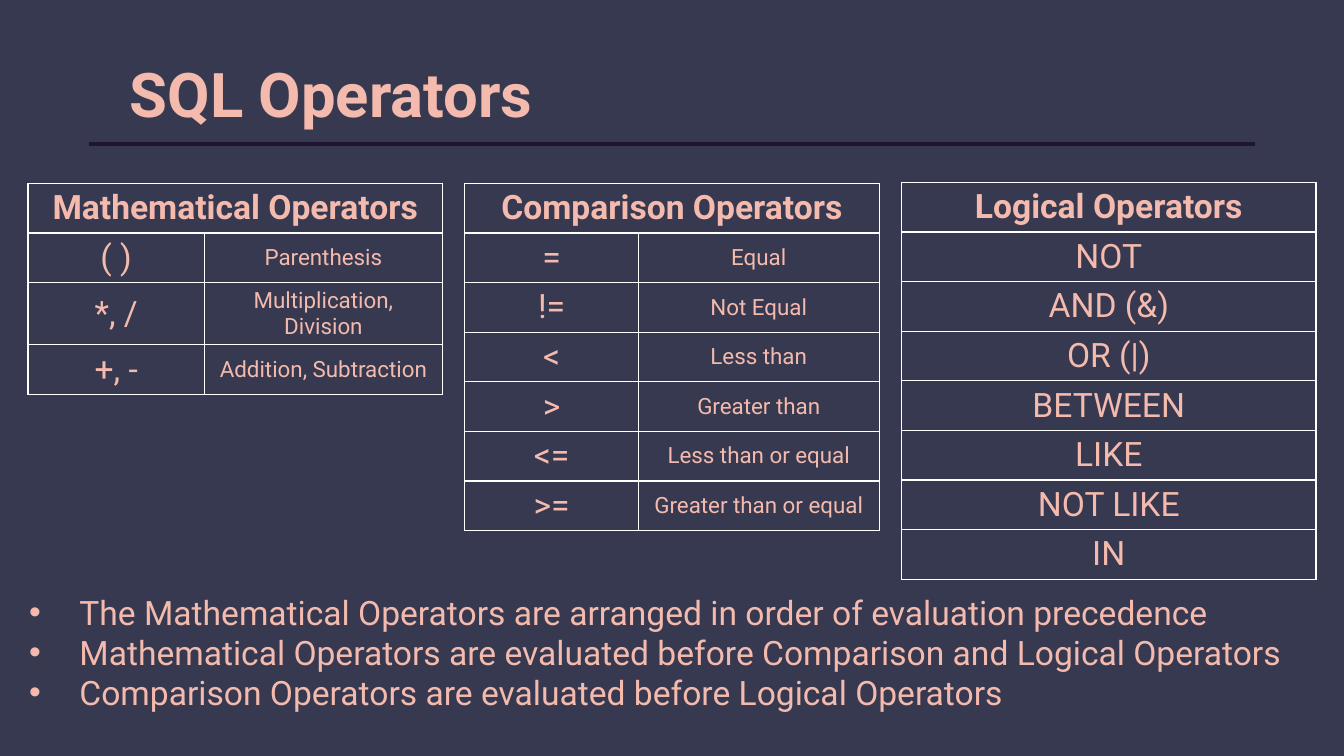
from dataclasses import dataclass
from lxml.etree import SubElement as Sub
from pptx import Presentation
from pptx.dml.color import RGBColor as RGB
from pptx.enum.shapes import MSO_CONNECTOR as Link, MSO_SHAPE as Shape
from pptx.enum.text import MSO_ANCHOR as Anchor, PP_ALIGN as Align
from pptx.oxml.ns import qn
from pptx.util import Pt

TITLE = "SQL Operators"
# heading, left, top, column widths, rows
TABLES = [
    ("Mathematical Operators", 20, 131, (126, 170), [
        ("( )", "Parenthesis"),
        ("*, /", "Multiplication, Division"),
        ("+, -", "Addition, Subtraction"),
    ]),
    ("Comparison Operators", 332, 131, (124, 172), [
        ("=", "Equal"),
        ("!=", "Not Equal"),
        ("<", "Less than"),
        (">", "Greater than"),
        ("<=", "Less than or equal"),
        (">=", "Greater than or equal"),
    ]),
    ("Logical Operators", 644, 130.3, (296,), [
        ("NOT",), ("AND (&)",), ("OR (|)",), ("BETWEEN",),
        ("LIKE",), ("NOT LIKE",), ("IN",),
    ]),
]
NOTES = [
    "The Mathematical Operators are arranged in order of evaluation precedence",
    "Mathematical Operators are evaluated before Comparison and Logical Operators",
    "Comparison Operators are evaluated before Logical Operators",
]


@dataclass
class Theme:
    """Colours, font and type sizes."""
    back: str = "36394F"
    ink: str = "F3BAAD"
    rule: str = "1F1431"
    grid: str = "FFFFFF"
    font: str = "Roboto"
    title: int = 44
    body: int = 24
    small: int = 16


LOOK = Theme()
ROW = 35.43
INDENT = 36


def style(para, size, bold=False):
    """Format every run of a paragraph."""
    for run in para.runs:
        font = run.font
        font.name, font.size, font.bold = LOOK.font, Pt(size), bold
        font.color.rgb = RGB.from_string(LOOK.ink)


def border(cell):
    """Draw a thin line on all four sides of a cell."""
    props = cell._tc.get_or_add_tcPr()
    for spot, side in enumerate(("lnL", "lnR", "lnT", "lnB")):
        line = Sub(props, qn(f"a:{side}"), w=str(Pt(1)))
        Sub(Sub(line, qn("a:solidFill")), qn("a:srgbClr"), val=LOOK.grid)
        props.insert(spot, line)


def add_title(slide):
    """Add the heading and the rule below it."""
    box = slide.shapes.add_shape(
        Shape.RECTANGLE, Pt(85.7), Pt(36.7), Pt(651), Pt(55.4))
    box.shadow.inherit = False
    box.fill.solid()
    box.fill.fore_color.rgb = RGB.from_string(LOOK.back)
    box.line.fill.background()
    frame = box.text_frame
    frame.text = TITLE
    frame.vertical_anchor = Anchor.TOP
    para = frame.paragraphs[0]
    para.alignment = Align.LEFT
    style(para, LOOK.title, True)

    rule = slide.shapes.add_connector(
        Link.STRAIGHT, Pt(63.5), Pt(103), Pt(896.5), Pt(103))
    rule.line.color.rgb = RGB.from_string(LOOK.rule)
    rule.line.width = Pt(3)
    Sub(rule._element.spPr, qn("a:effectLst"))


def add_grid(slide, head, left, top, widths, rows):
    """Add one table of operators under a merged heading."""
    count = len(rows) + 1
    grid = slide.shapes.add_table(
        count, len(widths), Pt(left), Pt(top),
        Pt(sum(widths)), Pt(ROW * count)).table
    grid.first_row = grid.horz_banding = False
    for col, width in zip(grid.columns, widths):
        col.width = Pt(width)
    if len(widths) > 1:
        grid.cell(0, 0).merge(grid.cell(0, len(widths) - 1))
    for r, texts in enumerate([(head,), *rows]):
        for c in range(len(widths)):
            cell = grid.cell(r, c)
            cell.fill.background()
            border(cell)
            if c >= len(texts):
                continue
            cell.vertical_anchor = Anchor.MIDDLE
            cell.text_frame.text = texts[c]
            para = cell.text_frame.paragraphs[0]
            para.alignment = Align.CENTER
            style(para, LOOK.small if c else LOOK.body, r == 0)


def add_notes(slide):
    """Add the bulleted remarks."""
    box = slide.shapes.add_textbox(Pt(13.7), Pt(419), Pt(931.7), Pt(94.3))
    frame = box.text_frame
    frame.word_wrap = True
    frame.text = "\n".join(NOTES)
    for para in frame.paragraphs:
        style(para, LOOK.body)
        props = para._p.get_or_add_pPr()
        props.set("marL", str(Pt(INDENT)))
        props.set("indent", str(Pt(-INDENT)))
        Sub(props, qn("a:buFont"), typeface="Arial")
        Sub(props, qn("a:buChar"), char="•")


def main():
    """Build and save the slide."""
    deck = Presentation()
    deck.slide_width, deck.slide_height = Pt(960), Pt(540)
    slide = deck.slides.add_slide(deck.slide_layouts[6])
    back = slide.background.fill
    back.solid()
    back.fore_color.rgb = RGB.from_string(LOOK.back)
    add_title(slide)
    for table in TABLES:
        add_grid(slide, *table)
    add_notes(slide)
    deck.save("out.pptx")


main()
